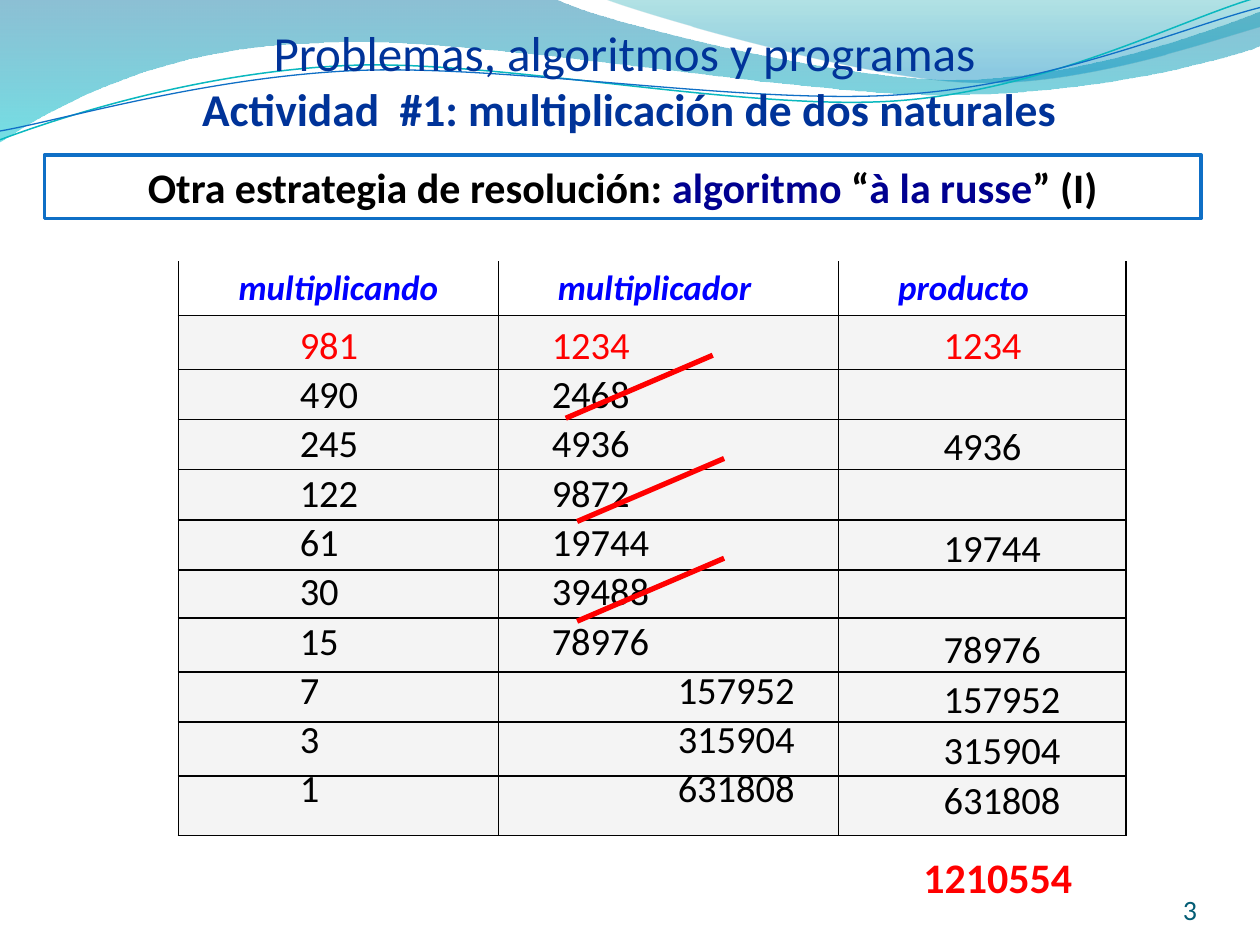
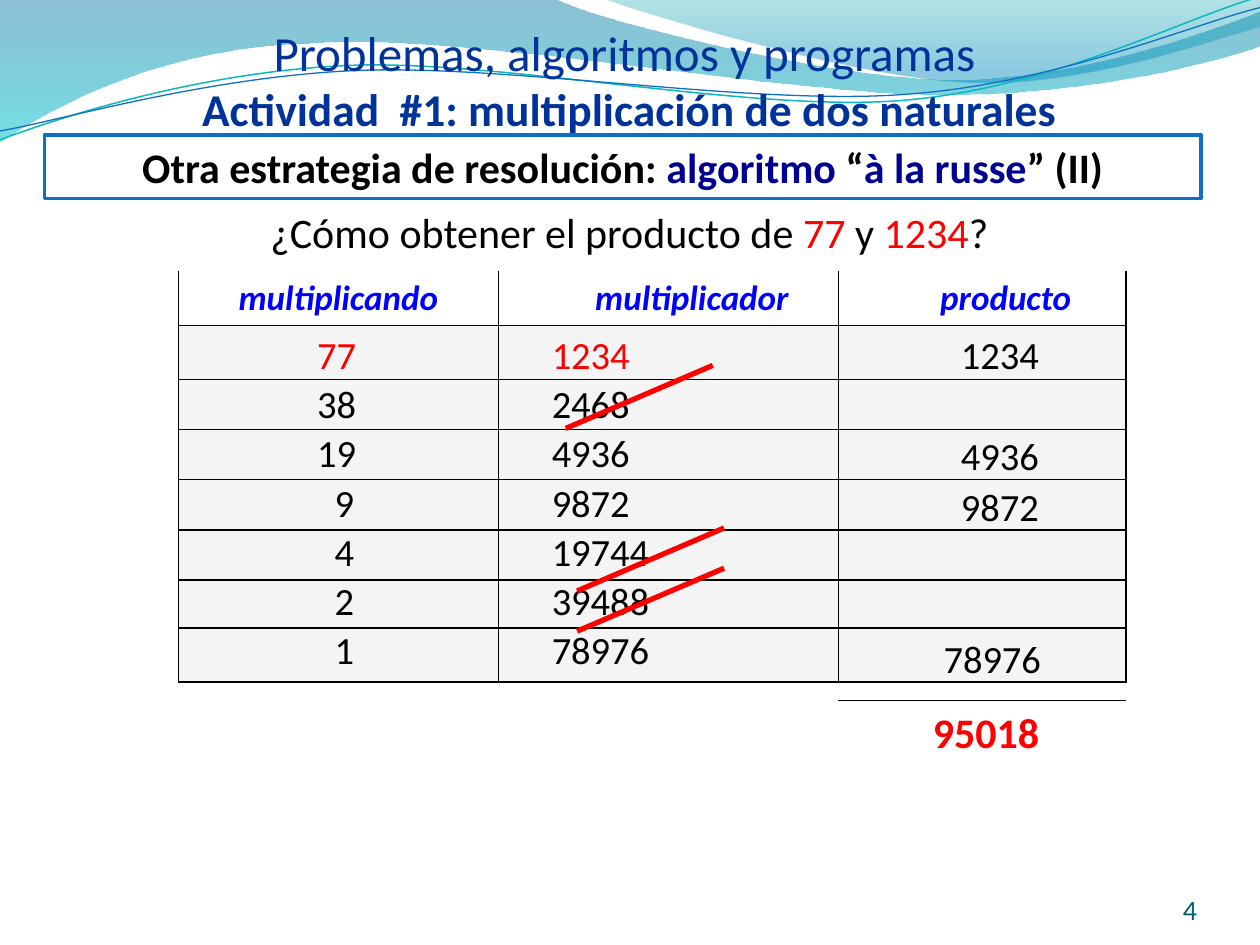
from lxml.etree import SubElement
from pptx import Presentation
from pptx.dml.color import RGBColor as RGB
from pptx.enum.shapes import MSO_CONNECTOR as LINK, MSO_SHAPE as SHAPE
from pptx.enum.text import MSO_ANCHOR as ANCHOR, PP_ALIGN as ALIGN
from pptx.oxml.ns import qn
from pptx.util import Pt

HUES = {
    "black": "000000", "white": "FFFFFF", "red": "FF0000", "blue": "0000FF",
    "title": "003399", "navy": "000090", "frame": "0F6FC6", "teal": "0AB8BF",
    "page": "045D75", "cell": "EAEAEA", "sea": "0074A1", "aqua": "00C6CF",
    "lagoon": "00A1A9", "sky": "008BBF",
}
RGBS = {name: RGB.from_string(hue) for name, hue in HUES.items()}

# Wave outlines in inches: a pair is a straight step, a six is a Bézier step.
BANDS = [
    ([(0, 0), (4.4, -0.01), (4.76, 0.17, 6.64, 0.63, 7.58, 0.63),
      (8.53, 0.63, 9.58, 0.26, 10, 0.09), (10.01, 0.36),
      (9.83, 0.44, 8.7, 0.76, 7.46, 0.75), (6.22, 0.75, 3.82, 0.28, 2.57, 0.34),
      (1.29, 0.36, 0.46, 0.83, -0.01, 1.13)],
     [(0, "sea", 45), (1, "aqua", 55)]),
    ([(4.79, -0.01), (5.09, 0.11, 6.82, 0.62, 7.69, 0.65),
      (8.56, 0.69, 9.61, 0.32, 10, 0.21), (10, 0)],
     [(0, "lagoon", 30), (0.8, "sky", 45)]),
]
WAVES = [
    ([(0, 1.11), (0.48, 0.93, 1.58, 0.57, 2.77, 0.52),
      (3.95, 0.47, 5.93, 0.89, 7.13, 0.8), (8.33, 0.71, 9.38, 0.15, 9.98, -0.02)],
     "teal", 0.85),
    ([(0, 1.04), (0.47, 0.96, 1.64, 0.61, 2.83, 0.56),
      (4.03, 0.51, 5.97, 0.84, 7.17, 0.75), (8.36, 0.67, 9.41, 0.21, 10, 0.06)],
     "frame", 0.75),
]

HEADS = ["multiplicando", "multiplicador", "producto"]
WIDTHS = [182.8, 194.4, 164.3]
ROWS = [31, 31, 28.4, 28.6, 29, 28.6, 27.4, 30.9, 28.6, 30.9, 33.8]
LEFT = 102
SPACE = 4.97    # width of a space at 22 pt
PITCH = 29.05   # distance between rows in the product column

# Steps: multiplicand, multiplier, product ("" when the row is struck out).
PAGES = [
    {
        "page": "3", "part": "I", "rect": 88.6, "top": 149.3, "align": ALIGN.LEFT,
        "first": "red", "ask": None, "pad": 0,
        "steps": [
            ("981", "1234", "1234"), ("490", "2468", ""), ("245", "4936", "4936"),
            ("122", "9872", ""), ("61", "19744", "19744"), ("30", "39488", ""),
            ("15", "78976", "78976"), ("7", "157952", "157952"),
            ("3", "315904", "315904"), ("1", "631808", "631808")],
        "rule": 477.4, "sum": ("1210554", 520.6, 483.1),
        "cuts": [(323.3, 239), (329.8, 298), (329.8, 355)],
    },
    {
        "page": "4", "part": "II", "rect": 77.2, "top": 155, "align": ALIGN.CENTER,
        "first": "black", "ask": ("77", "1234"), "pad": 2,
        "steps": [
            ("77", "1234", "1234"), ("38", "2468", ""), ("19", "4936", "4936"),
            ("9", "9872", "9872"), ("4", "19744", ""), ("2", "39488", ""),
            ("1", "78976", "78976")],
        "rule": 400.3, "sum": ("95018", 526, 400.3),
        "cuts": [(323.3, 244.8), (329.8, 337.7), (329.8, 360.7)],
    },
]


def write(par, runs, align=ALIGN.LEFT, **look):
    """Add (text, colour) runs that share one look to a paragraph."""
    par.alignment = align
    for words, hue in runs:
        run = par.add_run()
        run.text = words
        run.font.name = "Calibri"
        run.font.color.rgb = RGBS[hue]
        for key, value in look.items():
            setattr(run.font, key, value)


def trace(shapes, steps, close):
    """Draw an outline, joining the three points of each Bézier step."""
    flat = [Pt(n * 72) for step in steps for n in step]
    dots = list(zip(flat[::2], flat[1::2]))
    pen = shapes.build_freeform(*dots[0])
    pen.add_line_segments(dots[1:], close=close)
    form = pen.convert_to_shape()
    form.shadow.inherit = False
    line = next(form._element.spPr.iter(qn("a:path")))
    nodes = iter(line.findall(qn("a:lnTo")))
    for step in steps[1:]:
        group = [next(nodes) for _ in range(len(step) // 2)]
        if len(group) == 3:
            curve = SubElement(line, qn("a:cubicBezTo"))
            group[0].addprevious(curve)
            for node in group:
                curve.append(node[0])
                line.remove(node)
    return form


deck = Presentation()
deck.slide_width, deck.slide_height = Pt(720), Pt(540)

for info in PAGES:
    shapes = deck.slides.add_slide(deck.slide_layouts[6]).shapes
    top, steps = info["top"], info["steps"]

    # Waves across the top
    for line, stops in BANDS:
        band = trace(shapes, line, True)
        band.line.fill.background()
        band.fill.gradient()
        band.fill.gradient_angle = 270
        for stop, (place, hue, _) in zip(band.fill.gradient_stops, stops):
            stop.position = place
            stop.color.rgb = RGBS[hue]
        for node, (_, _, alpha) in zip(band._element.spPr.iter(qn("a:srgbClr")), stops):
            SubElement(node, qn("a:alpha"), val=str(alpha * 1000))
    for line, hue, width in WAVES:
        wave = trace(shapes, line, False)
        wave.fill.background()
        wave.line.color.rgb = RGBS[hue]
        wave.line.width = Pt(width)

    # Table grid with its headings
    rows = ROWS[:len(steps) + 1]
    frame = shapes.add_table(len(rows), 3, Pt(LEFT), Pt(top),
                             Pt(sum(WIDTHS)), Pt(sum(rows)))
    grid = frame.table
    grid.first_row = grid.horz_banding = False
    for col, width in zip(grid.columns, WIDTHS):
        col.width = Pt(width)
    for r, height in enumerate(rows):
        grid.rows[r].height = Pt(height)
        for c, head in enumerate(HEADS):
            cell = grid.cell(r, c)
            cell.margin_top = cell.margin_bottom = 0
            cell.vertical_anchor = ANCHOR.MIDDLE
            props = cell._tc.get_or_add_tcPr()
            for side in "LRTB":
                edge = SubElement(props, qn("a:ln" + side), w=str(Pt(1)))
                if r == 0 and side == "T":
                    SubElement(edge, qn("a:noFill"))
                else:
                    paint = SubElement(edge, qn("a:solidFill"))
                    SubElement(paint, qn("a:srgbClr"), val=HUES["black"])
            if r:
                cell.fill.solid()
                cell.fill.fore_color.rgb = RGBS["cell"]
                tint = props.find(qn("a:solidFill"))[0]
                SubElement(tint, qn("a:alpha"), val="50000")
                cell.text_frame.paragraphs[0].font.size = Pt(18)
            else:
                cell.fill.background()
                cell.margin_left = Pt(34 if c else 7.2)
                write(cell.text_frame.paragraphs[0], [(head, "blue")],
                      info["align"] if c else ALIGN.CENTER,
                      size=Pt(20), bold=True, italic=True)

    # Text boxes: left, top, width, height, wrap
    spots = {
        "factors": (113.8, top + 33.6, 382.3, 300.2, True),
        "products": (501.1, top + 33.6, 130.3, 300.2, True),
        "page": (624.2, 500.4, 59.8, 28.8, True),
        "sum": (*info["sum"][1:], 100, 36, False),
        "title": (0, 9.4, 720, 79.2, True),
    }
    if info["ask"]:
        spots["ask"] = (76.3, 114.5, 566.6, 36, True)
    text = {}
    for name, (x, y, w, h, wrap) in spots.items():
        text[name] = shapes.add_textbox(Pt(x), Pt(y), Pt(w), Pt(h)).text_frame
        text[name].word_wrap = wrap
    for name in ("page", "title"):
        for side in ("left", "right", "top", "bottom"):
            setattr(text[name], "margin_" + side, 0)
    text["title"].margin_top = Pt(3.6)
    text["page"].vertical_anchor = ANCHOR.BOTTOM

    # Factors, and the products of the rows that stay
    gap = 0
    for n, (left, right, prod) in enumerate(steps):
        tabs = "\t" * (3 if len(right) > 5 else 2)
        shift = info["pad"] * SPACE
        lines = [("factors", left + tabs + right, "red", 50.4,
                  shift * (3 - len(left)), 4.4)]
        if prod:
            lines.append(("products", prod, info["first"],
                          31 + shift * (5 - len(prod)), 0, 5.1 + gap))
        gap = 0 if prod else gap + PITCH
        for name, words, hue, margin, indent, space in lines:
            body = text[name]
            par = body.add_paragraph() if n else body.paragraphs[0]
            par.line_spacing = 0.9
            par.space_before = Pt(space if n else 0)
            props = par._p.get_or_add_pPr()
            for key, value in {"marL": margin, "indent": indent, "defTabSz": 72}.items():
                props.set(key, str(Pt(value)))
            write(par, [(words, "black" if n else hue)], size=Pt(22))

    # Sum line and strokes through the even rows
    links = [(478.8, info["rule"], 643.7, info["rule"], "black", 0.75)]
    links += [(x, y, x + 84, y - 36, "red", 3) for x, y in info["cuts"]]
    for x, y, end, rise, hue, width in links:
        link = shapes.add_connector(LINK.STRAIGHT, Pt(x), Pt(y), Pt(end), Pt(rise))
        link.line.color.rgb = RGBS[hue]
        link.line.width = Pt(width)
        SubElement(link._element.spPr, qn("a:effectLst"))

    # Titles, sum, question and page number
    write(text["title"].paragraphs[0], [("Problemas, algoritmos y programas ", "title")],
          ALIGN.CENTER, size=Pt(28))
    write(text["title"].add_paragraph(),
          [("Actividad  #1: multiplicación de dos naturales", "title")],
          ALIGN.CENTER, size=Pt(26), bold=True)
    write(text["sum"].paragraphs[0], [(info["sum"][0], "red")], size=Pt(24), bold=True)
    write(text["page"].paragraphs[0], [(info["page"], "page")], ALIGN.RIGHT, size=Pt(16))
    if info["ask"]:
        one, two = info["ask"]
        write(text["ask"].paragraphs[0],
              [("¿Cómo obtener el producto de ", "black"), (one, "red"),
               (" y ", "black"), (two, "red"), ("?", "black")],
              ALIGN.CENTER, size=Pt(24))

    rect = shapes.add_shape(SHAPE.RECTANGLE, Pt(25.3), Pt(info["rect"]), Pt(661), Pt(36.2))
    rect.shadow.inherit = False
    rect.fill.solid()
    rect.fill.fore_color.rgb = RGBS["white"]
    rect.line.color.rgb = RGBS["frame"]
    rect.line.width = Pt(2)
    write(rect.text_frame.paragraphs[0],
          [("Otra estrategia de resolución: ", "black"), ("algoritmo ", "navy"),
           ("“", "black"), ("à la russe", "navy"), (f"” ({info['part']})", "black")],
          ALIGN.CENTER, size=Pt(24), bold=True)

deck.save("out.pptx")
